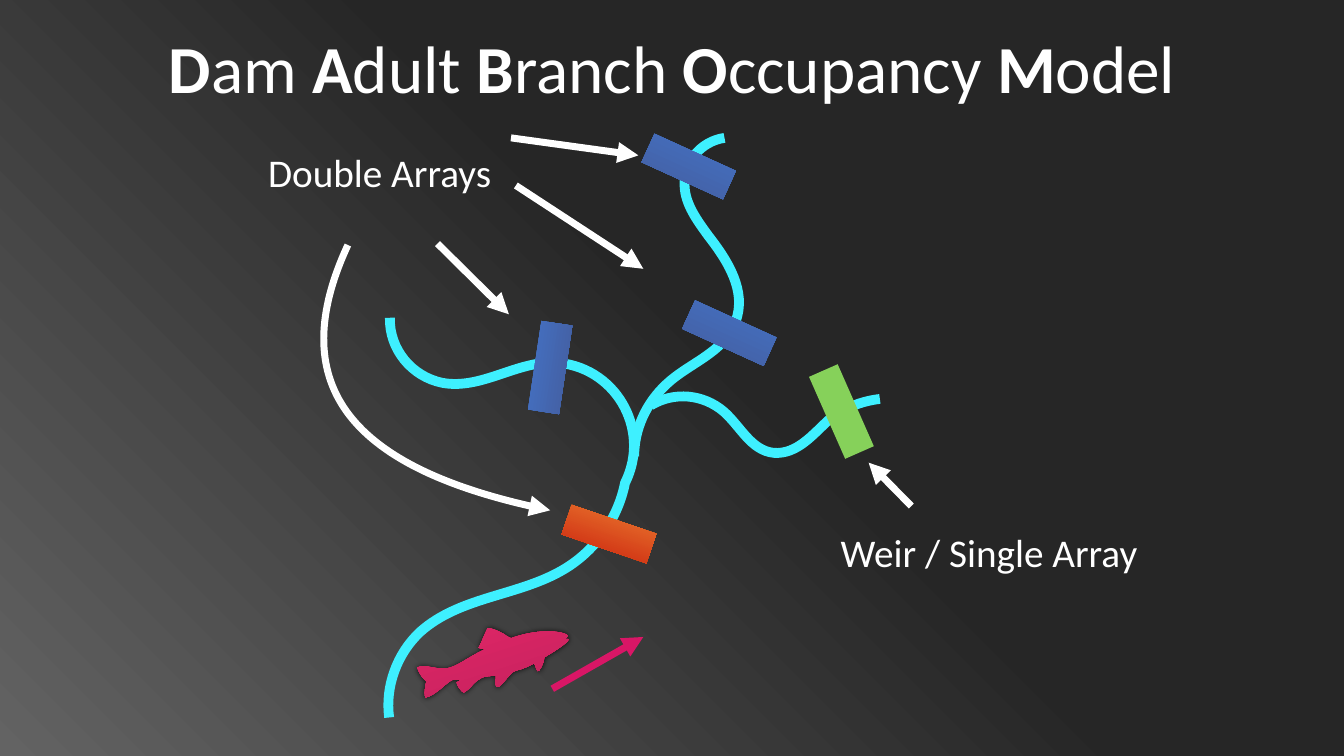
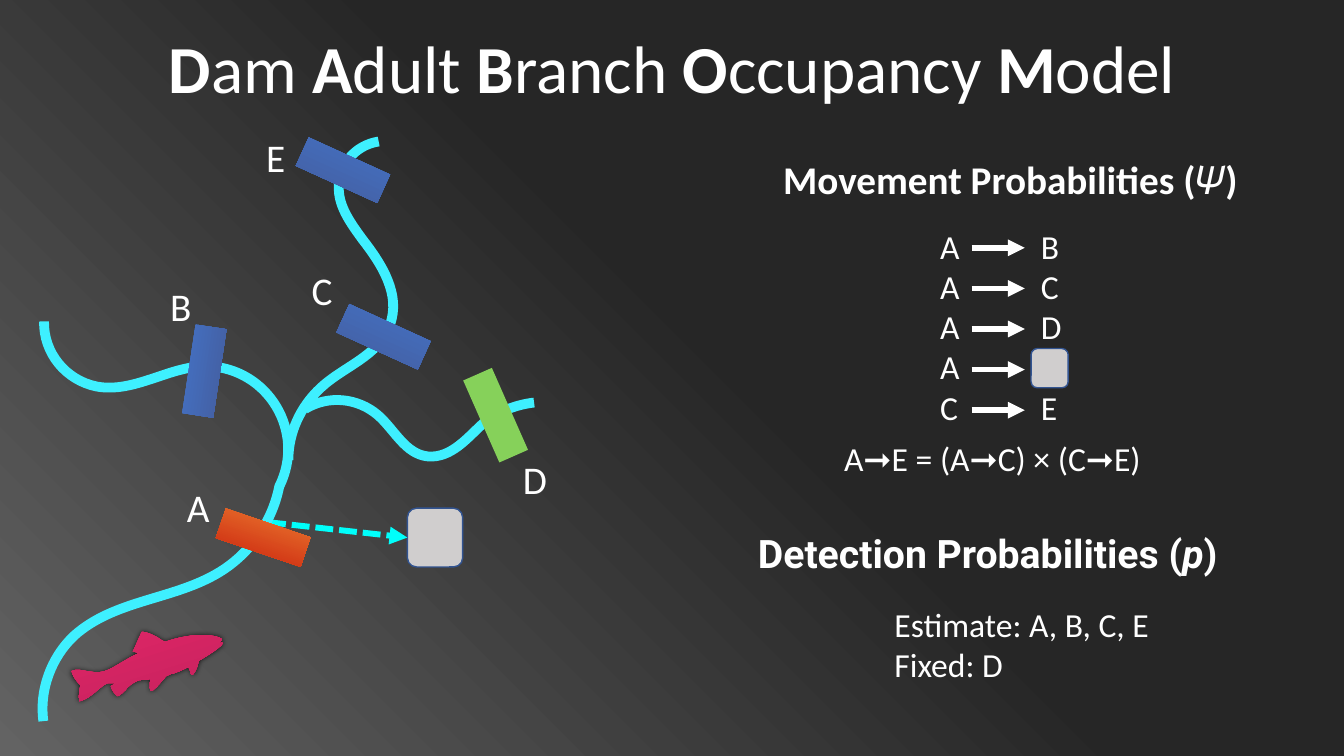
from math import cos, radians, sin

from pptx import Presentation
from pptx.dml.color import RGBColor
from pptx.enum import dml, shapes, text
from pptx.oxml import parse_xml
from pptx.oxml.ns import nsdecls
from pptx.util import Pt

WHITE = RGBColor(0xFF, 0xFF, 0xFF)
DARK = RGBColor(0x26, 0x26, 0x26)
GREY = RGBColor(0x63, 0x63, 0x63)
WATER = RGBColor(0x3E, 0xF0, 0xFF)
CYAN = RGBColor(0x00, 0xFF, 0xFB)
GREEN = RGBColor(0x86, 0xD1, 0x5A)
PINK = RGBColor(0xD9, 0x16, 0x66)
SILVER = RGBColor(0xD0, 0xCE, 0xCE)
NAVY = RGBColor(0x32, 0x54, 0x91)
ORANGE = (RGBColor(0xED, 0x7D, 0x31), RGBColor(0xC8, 0x1E, 0x0C))
BLUE = (RGBColor(0x44, 0x72, 0xC4), RGBColor(0x44, 0x5D, 0x9F))
ROSE = (RGBColor(0xE4, 0x27, 0x68), RGBColor(0xC3, 0x21, 0x5D))

TITLE = [("D", "b"), ("am ", ""), ("A", "b"), ("dult ", ""), ("B", "b"),
         ("ranch ", ""), ("O", "b"), ("ccupancy ", ""), ("M", "b"), ("odel", "")]

# Each curve is a start point, then (control, control, end) per segment.
RIVERS = [
    ((278, 512.5),
     [(275, 490.5, 283.5, 467, 300, 451.5), (329, 425.5, 371.5, 426, 404, 406),
      (426, 392.5, 441.5, 370, 446.5, 345), (466, 306, 438.5, 260.5, 395.5, 259),
      (368, 258.5, 343.5, 278.5, 316, 273.5), (294, 269, 278, 249.5, 278.5, 227)]),
    ((465, 289.5),
     [(481.5, 279.5, 502.5, 281.5, 517, 294), (529, 304.5, 536.5, 322, 553, 323.5),
      (569.5, 324.5, 580.5, 310.5, 592, 300), (602.5, 291.5, 615.5, 286.5, 628.5, 285)]),
    ((453, 326),
     [(453, 306.5, 461.5, 288, 476, 274.5), (492.5, 259, 517.5, 252, 525.5, 229.5),
      (533.5, 208, 520, 186.5, 506, 168.5), (498, 157.5, 489.5, 146, 489, 133),
      (488, 116, 500.5, 101, 517.5, 98.5)]),
]
HOOK = ((248.5, 175), [(203, 273, 251, 336, 393, 364.5)])
# The fish as it swims, tilted upstream by TILT degrees.
TILT = 17.5
FISH = ((51, 0.7), [
    (49, 4.3, 45.4, 13.7, 44.6, 14.4), (43.9, 15.1, 46.1, 15.1, 49, 15.8),
    (32.4, 23.8, 26.6, 31, 16.6, 29.5), (9.4, 28.8, 4.3, 26.6, 0.7, 28.8),
    (2.2, 34.6, 7.2, 38.9, 7.2, 38.9), (7.2, 38.9, 5, 46.1, 6.5, 50.4),
    (15.1, 48.2, 21.6, 38.9, 26.6, 37.4), (28.1, 37.4, 29.5, 37.4, 32.4, 37.4),
    (31, 38.2, 30.2, 38.9, 28.8, 39.6), (29.5, 42.5, 31.7, 45.4, 33.8, 46.8),
    (35.3, 46.1, 38.9, 43.2, 41, 40.3), (44.6, 36.7, 49, 35.3, 49, 35.3),
    (51.8, 35.3, 54, 34.6, 56.9, 34.6), (56.9, 38.2, 55.4, 44.6, 59, 42.5),
    (62.6, 39.6, 66.2, 34.6, 68.4, 32.4), (69.1, 31.7, 70.6, 31.7, 71.3, 31),
    (75.6, 30.2, 79.9, 28.1, 84.2, 25.9), (85, 27.4, 85.7, 28.8, 85.7, 30.2),
    (86.4, 31.7, 87.1, 31.7, 87.8, 31), (90, 28.1, 91.4, 23.8, 91.4, 21.6),
    (101.5, 15.8, 109.4, 10.1, 108.7, 8.6), (108.7, 7.9, 105.8, 9.4, 105.8, 9.4),
    (105.8, 9.4, 108.7, 6.5, 108, 5.8), (105.8, 3.6, 90, 0, 67.7, 7.9),
    (66.2, 7.2, 64.1, 6.5, 62.6, 5), (59, 2.9, 54, 0.7, 51, 0.7)])
# Centre, turn and fill of each array.
BARS = [(435, 381.5, 18.8, ORANGE), (393, 262.5, 278.6, BLUE),
        (521, 238, 24.5, BLUE), (492, 119, 24.5, BLUE), (601, 294, 66.2, GREEN)]


def xml(body):
    """Parse one drawing element given without its namespace."""
    head, sep, rest = body.partition(" ")
    return parse_xml(f"<a:{head} {nsdecls('a')} {rest}")


def pairs(row):
    return list(zip(row[::2], row[1::2]))


def trace(start, parts, steps=12):
    """Points along a chain of cubic curves, to find its bounds."""
    for row in parts:
        knots = [start] + pairs(row)
        for i in range(1, steps + 1):
            t = i / steps
            s = 1 - t
            mix = (s ** 3, 3 * s * s * t, 3 * s * t * t, t ** 3)
            yield tuple(sum(m * k[axis] for m, k in zip(mix, knots)) for axis in (0, 1))
        start = knots[-1]


def remap(curve, move):
    """Apply move(x, y) to every point of a curve."""
    start, parts = curve
    return move(*start), [sum((move(*p) for p in pairs(row)), ()) for row in parts]


class Deck:
    def __init__(self):
        self.prs = Presentation()
        self.prs.slide_width, self.prs.slide_height = Pt(960), Pt(540)
        self.slide = None
        master = self.prs.slide_master
        self.blend(master.background.fill, (DARK, GREY), 0.46)
        lin = master.element.xpath(".//p:bg//a:lin")[0]
        lin.getparent().replace(lin, xml(
            'path path="circle"><a:fillToRect l="100000" b="100000"/></a:path>'))

    def blend(self, fill, pair, first=0):
        fill.gradient()
        fill.gradient_angle = 270
        for stop, color, pos in zip(fill.gradient_stops, pair, (first, 1)):
            stop.color.rgb, stop.position = color, pos

    def paint(self, shape, fill):
        """Fill with a colour, or with a pair of colours as a gradient."""
        shape.shadow.inherit = False
        if isinstance(fill, RGBColor):
            shape.fill.solid()
            shape.fill.fore_color.rgb = fill
        else:
            self.blend(shape.fill, fill)
        shape.line.fill.background()

    def ink(self, shape, color, width, tip=False, dash=None):
        shape.line.color.rgb = color
        shape.line.width = Pt(width)
        if dash:
            shape.line.dash_style = dash
        if tip:
            ln = shape.element.xpath("./p:spPr/a:ln")[0]
            ln.append(xml('tailEnd type="triangle"/>'))

    def page(self):
        self.slide = self.prs.slides.add_slide(self.prs.slide_layouts[6])

    def title(self):
        self.text(TITLE, 101.5, 3.6, 757, 88, 48, pad=(2, 2), mid=True,
                  align=text.PP_ALIGN.CENTER)

    def text(self, lines, x, y, w, h, size=28, pad=(7.2, 3.6), mid=False,
             align=None, face="Calibri", tab=None):
        """Lines are a string, or one paragraph as (words, style) parts."""
        frame = self.slide.shapes.add_textbox(Pt(x), Pt(y), Pt(w), Pt(h)).text_frame
        frame.word_wrap = True
        frame.margin_left = frame.margin_right = Pt(pad[0])
        frame.margin_top = frame.margin_bottom = Pt(pad[1])
        if mid:
            frame.vertical_anchor = text.MSO_ANCHOR.MIDDLE
        if isinstance(lines, str):
            frame.text = lines
        else:
            for words, style in lines:
                run = frame.paragraphs[0].add_run()
                run.text = words
                run.font.bold, run.font.italic = "b" in style, "i" in style
        for para in frame.paragraphs:
            if align is not None:
                para.alignment = align
            if tab:
                para._p.get_or_add_pPr().append(xml(
                    f'tabLst ><a:tab pos="{Pt(tab)}" algn="l"/></a:tabLst>'))
            for run in para.runs:
                run.font.name, run.font.size = face, Pt(size)
                run.font.color.rgb = WHITE

    def arrow(self, x1, y1, x2, y2, color=WHITE, width=5, dash=None, goal=None):
        line = self.slide.shapes.add_connector(
            shapes.MSO_CONNECTOR.STRAIGHT, Pt(x1), Pt(y1), Pt(x2), Pt(y2))
        if goal is not None:
            line.end_connect(goal, 1)
        self.ink(line, color, width, True, dash)
        line.element.spPr.append(xml("effectLst />"))

    def free(self, curve, close=False):
        """Outline of true cubic curves, in a frame that fits them."""
        start, parts = curve
        pen = self.slide.shapes.build_freeform(Pt(start[0]), Pt(start[1]))
        pen.add_line_segments([(Pt(x), Pt(y)) for x, y in trace(start, parts)],
                              close=close)
        shape = pen.convert_to_shape()

        def spot(x, y):
            return f'<a:pt x="{Pt(x) - shape.left}" y="{Pt(y) - shape.top}"/>'

        way = shape.element.xpath(".//a:path")[0]
        for step in way.xpath("./a:lnTo"):
            way.remove(step)
        for i, row in enumerate(parts, 1):
            knots = "".join(spot(*p) for p in pairs(row))
            way.insert(i, xml(f"cubicBezTo >{knots}</a:cubicBezTo>"))
        return shape

    def stream(self, curve, color, width, tip=False):
        shape = self.free(curve)
        shape.shadow.inherit = False
        shape.fill.background()
        self.ink(shape, color, width, tip)

    def bar(self, x, y, turn, fill):
        """An array centred on a point."""
        w, h = 64, 22.4
        shape = self.slide.shapes.add_shape(
            shapes.MSO_SHAPE.RECTANGLE, Pt(x - w / 2), Pt(y - h / 2), Pt(w), Pt(h))
        shape.rotation = turn
        self.paint(shape, fill)

    def fish(self, x, y):
        c, s = cos(radians(TILT)), sin(radians(TILT))
        mx, my = 55.4, 21.2

        def level(px, py):
            px, py = px - mx, py - my
            return x + mx + c * px - s * py, y + my + s * px + c * py

        shape = self.free(remap(FISH, level), True)
        shape.rotation = 360 - TILT
        self.paint(shape, ROSE)
        shape.element.xpath("./p:spPr/a:effectLst")[0].append(xml(
            f'outerShdw blurRad="{Pt(4)}" dist="0" dir="16500000">'
            '<a:srgbClr val="000000"><a:alpha val="80000"/></a:srgbClr></a:outerShdw>'))

    def map(self, dx=0, dy=0):
        for curve in RIVERS:
            self.stream(remap(curve, lambda x, y: (x + dx, y + dy)), WATER, 7)
        for x, y, turn, fill in BARS:
            self.bar(x + dx, y + dy, turn, fill)

    def box(self, x, y, w, h):
        shape = self.slide.shapes.add_shape(
            shapes.MSO_SHAPE.ROUNDED_RECTANGLE, Pt(x), Pt(y), Pt(w), Pt(h))
        self.paint(shape, SILVER)
        self.ink(shape, NAVY, 1)
        return shape


def arrays(deck):
    deck.page()
    deck.map()
    deck.text("Weir / Single Array", 598.5, 364, 222.5, 60, pad=(2, 2), mid=True)
    deck.text("Double Arrays", 189.5, 95.5, 170.5, 54.5, pad=(2, 2), mid=True)
    for ends in [(365, 98.5, 456, 111), (368.5, 132.5, 459.5, 192),
                 (312.5, 174, 363.5, 224.5)]:
        deck.arrow(*ends)
    deck.stream(HOOK, WHITE, 5, tip=True)
    deck.arrow(651, 361.5, 620.5, 330.5)
    deck.arrow(394.5, 492, 459.5, 455, PINK)
    deck.fish(297.5, 448)
    deck.title()


def odds(deck):
    deck.page()
    deck.title()
    for name, x, y in [("A", 126.5, 342), ("B", 114.5, 198), ("C", 215.5, 186.5),
                       ("D", 366.5, 322), ("E", 183, 92)]:
        deck.text(name, x, y, 39, 41)
    goal = deck.box(291, 363, 39.5, 42)
    deck.arrow(191.5, 373, 291, 384, CYAN, 4.25, dml.MSO_LINE.SQUARE_DOT, goal)
    deck.map(-247, 2.6)
    deck.fish(50.5, 450.6)

    pad = (2.9, 2.9)
    deck.text([("Detection Probabilities (", "b"), ("p", "bi"), (")", "b")],
              538.5, 375, 355, 40, pad=pad, mid=True, face="Roboto")
    deck.text("Estimate: A, B, C, E\nFixed: D", 636, 428, 190, 64, 24, pad, True)
    deck.text([("Movement Probabilities (𝛹)", "b")], 556.5, 107.5, 349, 40,
              pad=pad, mid=True)
    deck.text("A➞E = (A➞C) × (C➞E)", 600, 309.5, 232, 35.5, 24, pad, True)
    deck.text("A\tB\nA\tC\nA\tD\nA\nC\tE", 664.5, 157.5, 102, 152.5, 24, tab=72)
    for i in range(5):
        deck.arrow(694, 177 + 29 * i, 732, 177 + 29 * i, width=4)
    deck.box(736.5, 249, 26.5, 28)


def main():
    deck = Deck()
    arrays(deck)
    odds(deck)
    deck.prs.save("out.pptx")


if __name__ == "__main__":
    main()
